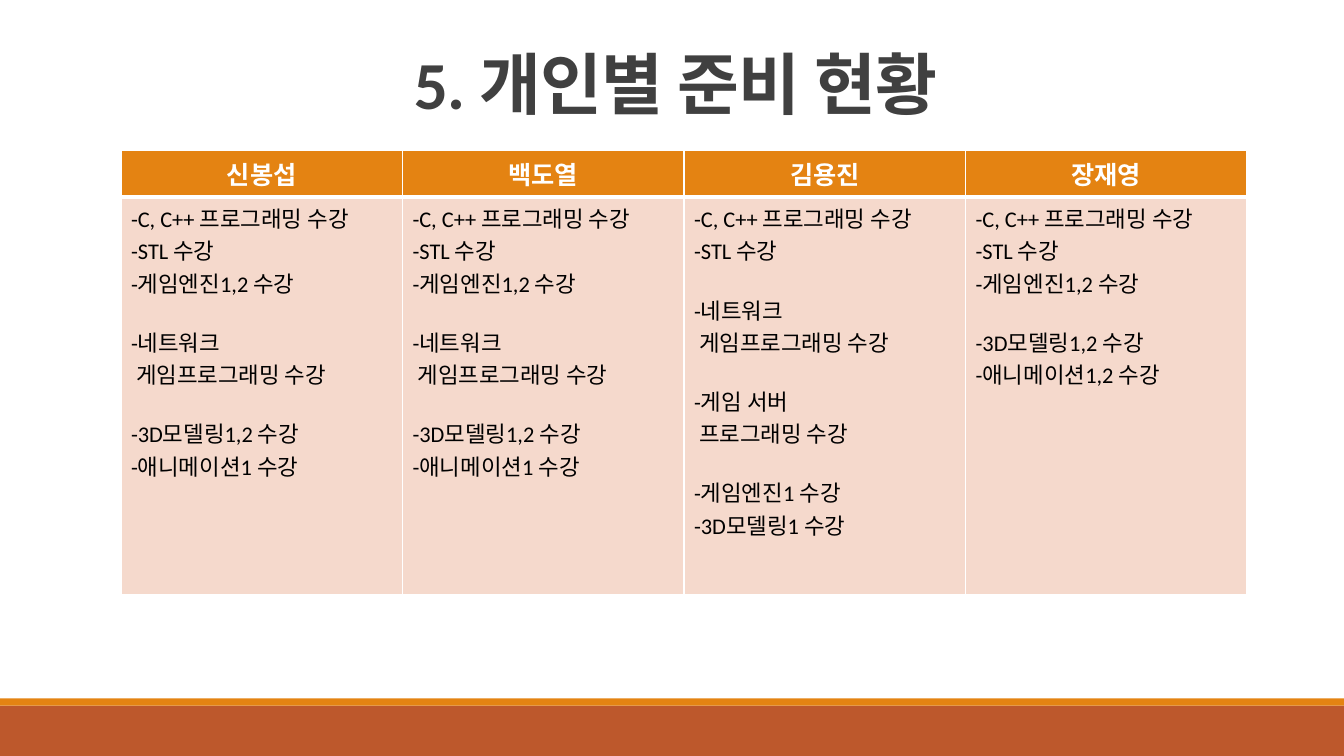
from dataclasses import dataclass

from lxml.etree import SubElement
from pptx import Presentation
from pptx.dml.color import RGBColor
from pptx.enum.shapes import MSO_SHAPE as Shape
from pptx.enum.text import MSO_ANCHOR as Anchor, PP_ALIGN as Align
from pptx.oxml.ns import qn
from pptx.util import Inches, Pt

ORANGE, RUST, PEACH = "E48312", "BD582C", "F5D9CC"
WHITE, BLACK, GRAY = "FFFFFF", "000000", "404040"

TITLE_FONT = {"name": "Calibri", "size": Pt(48), "bold": True}
HEADER_FONT = {"name": "Calibri", "size": Pt(18), "bold": True}
BODY_FONT = {"name": "Calibri", "size": Pt(16), "bold": False}
GROUP_GAP = Pt(19.2)


@dataclass
class Band:
    top: float
    height: float
    color: str


@dataclass
class Member:
    name: str
    groups: list[list[str]]


BANDS = [Band(7, 0.5, RUST), Band(6.93, 0.07, ORANGE)]

BASICS = ["-C, C++ 프로그래밍 수강", "-STL 수강"]
ENGINES = "-게임엔진1,2 수강"
NETWORK = ["-네트워크", " 게임프로그래밍 수강"]
SHARED_PLAN = [[*BASICS, ENGINES], NETWORK, ["-3D모델링1,2 수강", "-애니메이션1 수강"]]

MEMBERS = [
    Member("신봉섭", SHARED_PLAN),
    Member("백도열", SHARED_PLAN),
    Member("김용진", [BASICS, NETWORK, ["-게임 서버", " 프로그래밍 수강"],
                   ["-게임엔진1 수강", "-3D모델링1 수강"]]),
    Member("장재영", [[*BASICS, ENGINES], ["-3D모델링1,2 수강", "-애니메이션1,2 수강"]]),
]


def rgb(color: str) -> RGBColor:
    return RGBColor.from_string(color)


def write(paragraph, text: str, font: dict, color: str):
    run = paragraph.add_run()
    run.text = text
    for name, value in font.items():
        setattr(run.font, name, value)
    run.font.color.rgb = rgb(color)
    return run


def draw_band(slide, band: Band) -> None:
    shape = slide.shapes.add_shape(
        Shape.RECTANGLE, 0, Inches(band.top), Inches(13.33), Inches(band.height))
    shape.shadow.inherit = False
    shape.fill.solid()
    shape.fill.fore_color.rgb = rgb(band.color)
    shape.line.fill.background()


def draw_title(slide, text: str) -> None:
    box = slide.shapes.add_textbox(Inches(1.2), Inches(0.37), Inches(11), Inches(0.9))
    frame = box.text_frame
    frame.word_wrap = True
    frame.vertical_anchor = Anchor.BOTTOM
    paragraph = frame.paragraphs[0]
    paragraph.alignment = Align.CENTER
    paragraph.line_spacing = 0.85
    run = write(paragraph, text, TITLE_FONT, GRAY)
    run.font._element.set("spc", "-50")


def style_cell(cell, fill: str, top: float, bottom: float) -> None:
    # Borders come before the fill in the cell properties
    properties = cell._tc.get_or_add_tcPr()
    for side, width in {"L": 1, "R": 1, "T": top, "B": bottom}.items():
        line = SubElement(properties, qn(f"a:ln{side}"), w=str(Pt(width)))
        solid = SubElement(line, qn("a:solidFill"))
        SubElement(solid, qn("a:srgbClr"), val=WHITE)
    cell.fill.solid()
    cell.fill.fore_color.rgb = rgb(fill)


def fill_body(frame, groups: list[list[str]]) -> None:
    paragraph = frame.paragraphs[0]
    for group_index, group in enumerate(groups):
        for line_index, text in enumerate(group):
            if group_index or line_index:
                paragraph = frame.add_paragraph()
            if group_index and line_index == 0:
                paragraph.space_before = GROUP_GAP
            write(paragraph, text, BODY_FONT, BLACK)


def draw_table(slide, members: list[Member]) -> None:
    table = slide.shapes.add_table(
        2, len(members), Inches(1.2), Inches(1.49), Inches(11.17), Inches(4.39)).table
    table.rows[0].height = Inches(0.44)
    table.rows[1].height = Inches(3.95)
    for column, member in enumerate(members):
        header, body = table.cell(0, column), table.cell(1, column)
        style_cell(header, ORANGE, 1, 3)
        style_cell(body, PEACH, 3, 1)
        paragraph = header.text_frame.paragraphs[0]
        paragraph.alignment = Align.CENTER
        write(paragraph, member.name, HEADER_FONT, WHITE)
        fill_body(body.text_frame, member.groups)


def main() -> None:
    presentation = Presentation()
    presentation.slide_width = Inches(13.33)
    presentation.slide_height = Inches(7.5)
    slide = presentation.slides.add_slide(presentation.slide_layouts[6])

    # Footer bands
    for band in BANDS:
        draw_band(slide, band)

    # Preparation of each member
    draw_table(slide, MEMBERS)
    draw_title(slide, "5. 개인별 준비 현황")

    presentation.save("out.pptx")


if __name__ == "__main__":
    main()
